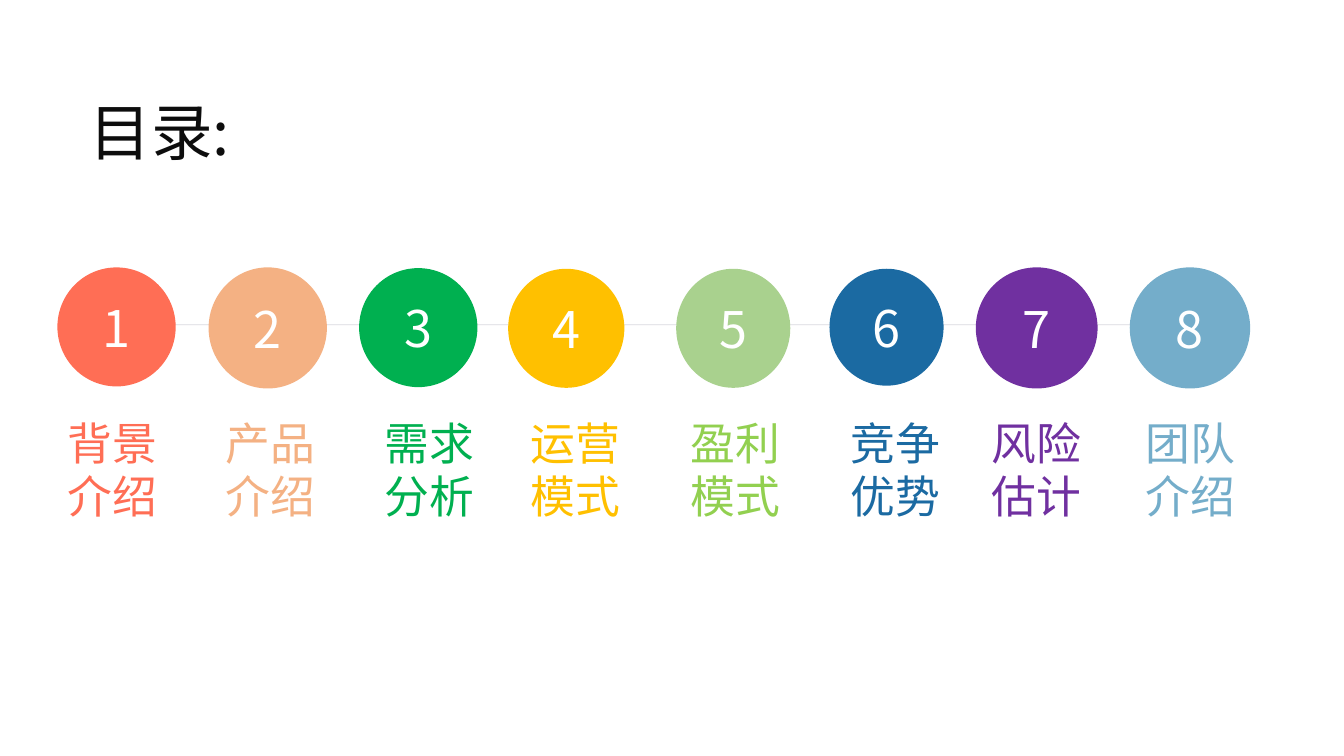
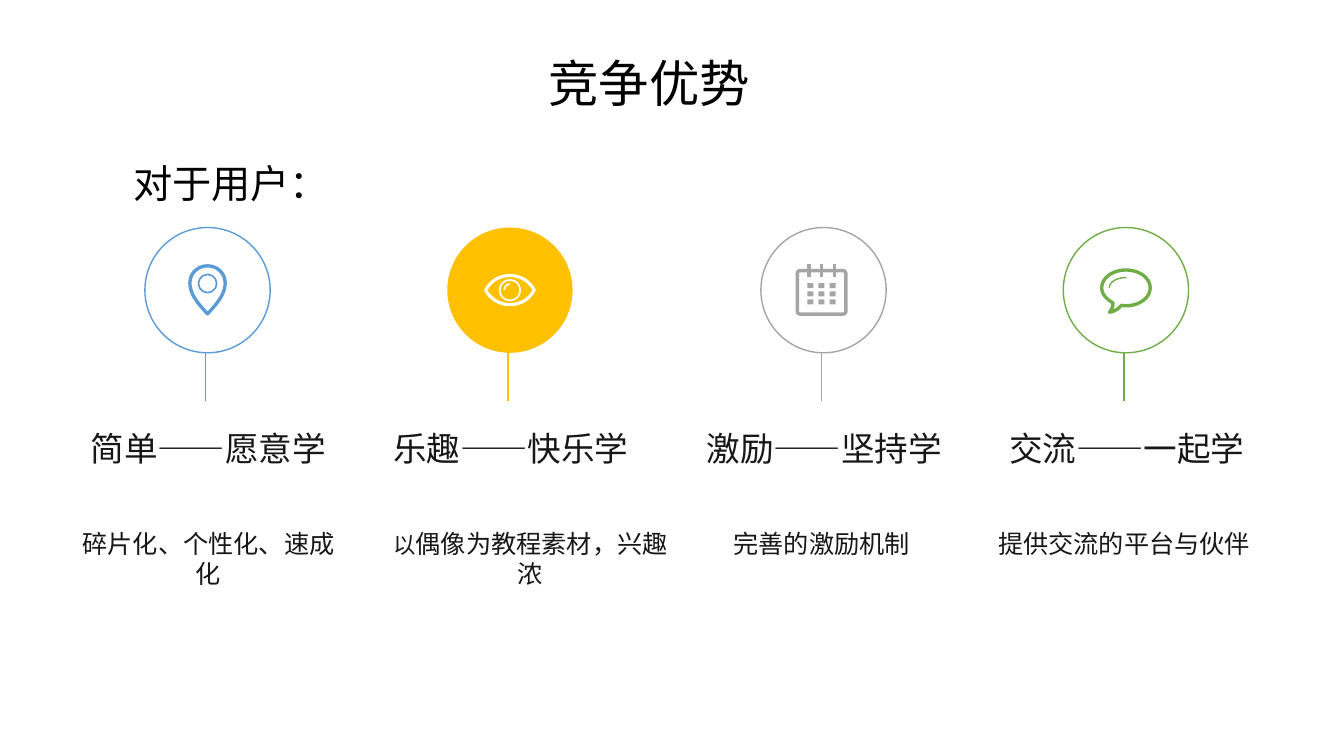
import pptx
import pptx.util
import pptx.dml.color
import pptx.enum.shapes
import pptx.enum.text
import lxml.etree

Pt = pptx.util.Pt
Rgb = pptx.dml.color.RGBColor.from_string
Kind = pptx.enum.shapes.MSO_SHAPE
Link = pptx.enum.shapes.MSO_CONNECTOR.STRAIGHT
Align = pptx.enum.text.PP_ALIGN
Mid = pptx.enum.text.MSO_ANCHOR.MIDDLE

NS = "{http://schemas.openxmlformats.org/drawingml/2006/main}"
HAN = "Noto Sans CJK SC"
SANS = "Open Sans"
HUES = {
    "white": "FFFFFF", "black": "000000", "ink": "0D0D0D", "text": "181717",
    "rule": "524F6A", "coral": "FF6E55", "peach": "F4B183", "green": "00B050",
    "gold": "FFC000", "sage": "A9D18E", "lime": "92D050", "navy": "1B6AA2",
    "plum": "7030A0", "sky": "74ADCA", "blue": "5B9BD5", "gray": "A5A5A5",
    "leaf": "70AD47",
}


def form(shape, fill=None, edge=None, weight=1):
    if hasattr(shape, "fill"):
        if fill:
            shape.fill.solid()
            shape.fill.fore_color.rgb = Rgb(HUES[fill])
        else:
            shape.fill.background()
    if edge:
        shape.line.color.rgb = Rgb(HUES[edge])
        shape.line.width = Pt(weight)
    else:
        shape.line.fill.background()
    lxml.etree.SubElement(shape._element.spPr, NS + "effectLst")
    return shape


def write(frame, paras, hue, font=HAN, align=Align.CENTER, wrap=True, tight=True):
    frame.word_wrap = wrap
    for num, runs in enumerate(paras):
        para = frame.add_paragraph() if num else frame.paragraphs[0]
        para.alignment = align
        top = max(size for words, size in runs)
        if tight:
            para.line_spacing = Pt(round(top * 1.18, 1))
            frame.margin_top = Pt(round(3.6 + top * 0.13, 1))
        for words, size in runs:
            run = para.add_run()
            run.text = words
            look = {"size": Pt(size), "name": font, "bold": False}
            for name, value in look.items():
                setattr(run.font, name, value)
            run.font.color.rgb = Rgb(HUES[hue])
            east = lxml.etree.SubElement(run._r.get_or_add_rPr(), NS + "ea")
            east.set("typeface", HAN)


deck = pptx.Presentation()
deck.slide_width = Pt(960)
deck.slide_height = Pt(540)
blank = deck.slide_layouts[6]

shapes = deck.slides.add_slide(blank).shapes
rule = form(shapes.add_connector(Link, Pt(878.5), Pt(232), Pt(64), Pt(232)),
            edge="rule", weight=0.5)
tint = rule._element.spPr.find(".//" + NS + "srgbClr")
lxml.etree.SubElement(tint, NS + "alpha").set("val", "22000")

title = shapes.add_textbox(Pt(57), Pt(58.5), Pt(199.5), Pt(60.5))
write(title.text_frame, [[("目录:", 44)]], "ink", align=Align.LEFT)

steps = [
    (["背景介绍"], "coral", "coral", (41, 191, 84.5, 85), 26.5, 107.5),
    (["产品介绍"], "peach", "peach", (149, 191, 84.5, 86.5), 139.5, 107.5),
    (["需求分析"], "green", "green", (256.5, 191.5, 84.5, 85), 256.5, 101),
    (["运营模式"], "gold", "gold", (363, 192, 83, 85), 360, 102),
    (["盈利模式"], "sage", "lime", (483, 192, 81.5, 85), 475, 101),
    (["竞争优势"], "navy", "navy", (592.5, 192, 81.5, 83.5), 589, 101),
    (["风险估计"], "plum", "plum", (697, 191, 87, 86.5), 690, 101),
    (["团队", "介绍"], "sky", "sky", (807, 191, 86, 86.5), 800, 101),
]
for num, (lines, fill, hue, box, left, width) in enumerate(steps, 1):
    disc = form(shapes.add_shape(Kind.OVAL, *map(Pt, box)), fill)
    disc.text_frame.vertical_anchor = Mid
    write(disc.text_frame, [[(str(num), 36)]], "white", tight=False)
    label = shapes.add_textbox(Pt(left), Pt(290), Pt(width), Pt(85))
    write(label.text_frame, [[(line, 32)] for line in lines], hue)

shapes = deck.slides.add_slide(blank).shapes
title = shapes.add_textbox(Pt(273), Pt(29.5), Pt(381.5), Pt(51))
write(title.text_frame, [[("竞争优势", 36)]], "black")
lead = shapes.add_textbox(Pt(88), Pt(107.5), Pt(156), Pt(41))
write(lead.text_frame, [[("对于用户：", 28)]], "black", align=Align.LEFT, wrap=False)

SIZE, TOP = 89.5, 162.5
points = [
    ("简单——愿意学", [("碎片化、个性化、速成化", 18)], "blue", 103.5, 51, 196),
    ("乐趣——快乐学", [("以", 16), ("偶像为教程素材，兴趣浓", 18)], "gold", 319.5, 267, 224),
    ("激励——坚持学", [("完善的激励机制", 18)], "gray", 543.5, 489, 196),
    ("交流——一起学", [("提供交流的平台与伙伴", 18)], "leaf", 759.5, 705, 196),
]
mids = {}
for head, body, hue, left, side, width in points:
    stem = left + 43.5
    form(shapes.add_connector(Link, Pt(stem), Pt(214.5), Pt(stem), Pt(286.5)), edge=hue)
    solid = hue == "gold"
    form(shapes.add_shape(Kind.OVAL, Pt(left), Pt(TOP), Pt(SIZE), Pt(SIZE)),
         hue if solid else "white", None if solid else hue)
    mids[hue] = left + SIZE / 2
    label = shapes.add_textbox(Pt(left - 47), Pt(299.5), Pt(184.5), Pt(36))
    write(label.text_frame, [[(head, 24)]], "text", SANS, wrap=False)
    note = shapes.add_textbox(Pt(side), Pt(372), Pt(width), Pt(52))
    write(note.text_frame, [body], "text", SANS)

row = TOP + SIZE / 2
curves = [
    ("blue", "blue", 2.4, True, (0, 17), [
        (-4.5, 12, -12.6, 4, -12.6, -5), (-12.6, -12, -7, -17.3, 0, -17.3),
        (7, -17.3, 12.6, -12, 12.6, -5), (12.6, 4, 4.5, 12, 0, 17)]),
    ("gold", "white", 2.2, True, (-17.3, 0), [
        (-14, -6.5, -7.3, -10.4, 0, -10.4), (7.3, -10.4, 14, -6.5, 17.3, 0),
        (14, 6.5, 7.3, 10.4, 0, 10.4), (-7.3, 10.4, -14, 6.5, -17.3, 0)]),
    ("gold", "white", 1.2, False, (-4, 0), [(-4, -2.4, -2.2, -4.3, 0, -4.3)]),
    ("leaf", "leaf", 2.4, True, (-9.4, 9), [
        (-14, 6.5, -17.3, 2.7, -17.3, -1.6), (-17.3, -8.7, -9.6, -14.4, 0, -14.4),
        (9.6, -14.4, 17.3, -8.7, 17.3, -1.6), (17.3, 5.5, 9.6, 11.2, 0, 11.2),
        (-1.2, 11.2, -2.2, 11, -3.2, 10.8), (-5, 13, -8, 15.3, -11.7, 15.8),
        (-10, 13.5, -9, 11.5, -9.4, 9)]),
    ("leaf", "leaf", 1, False, (-11.8, -1.6), [(-11.8, -6, -6.5, -9, 0.3, -9)]),
]
for spot, hue, weight, close, start, bends in curves:
    x, y = start
    dots = []
    for ax, ay, bx, by, cx, cy in bends:
        for part in range(1, 13):
            t = part / 12
            u = 1 - t
            mix = (u ** 3, 3 * u * u * t, 3 * u * t * t, t ** 3)
            dots.append((sum(m * v for m, v in zip(mix, (x, ax, bx, cx))),
                         sum(m * v for m, v in zip(mix, (y, ay, by, cy)))))
        x, y = cx, cy
    pen = shapes.build_freeform(Pt(mids[spot] + start[0]), Pt(row + start[1]), 1)
    pen.add_line_segments([(Pt(mids[spot] + a), Pt(row + b)) for a, b in dots], close)
    form(pen.convert_to_shape(), edge=hue, weight=weight)

for spot, hue, drop, radius in [("blue", "blue", -4.7, 6.5), ("gold", "white", 0, 7.3)]:
    form(shapes.add_shape(Kind.OVAL, Pt(mids[spot] - radius), Pt(row + drop - radius),
                          Pt(2 * radius), Pt(2 * radius)), edge=hue, weight=1.2)

mid = mids["gray"] - 1.4
page = shapes.add_shape(Kind.ROUNDED_RECTANGLE, Pt(mid - 17.3), Pt(row - 13.9), Pt(34.6), Pt(31))
page.adjustments[0] = 0.06
form(page, edge="gray", weight=2.5)
for col in range(3):
    peg = mid + 9 * (col - 1)
    form(shapes.add_connector(Link, Pt(peg), Pt(row - 18.7), Pt(peg), Pt(row - 9.6)),
         edge="gray", weight=2.2)
    for line in range(3):
        form(shapes.add_shape(Kind.RECTANGLE, Pt(mid - 10.1 + 7.9 * col),
                              Pt(row - 5 + 5.8 * line), Pt(4.3), Pt(3.6)), "gray")

deck.save("out.pptx")
